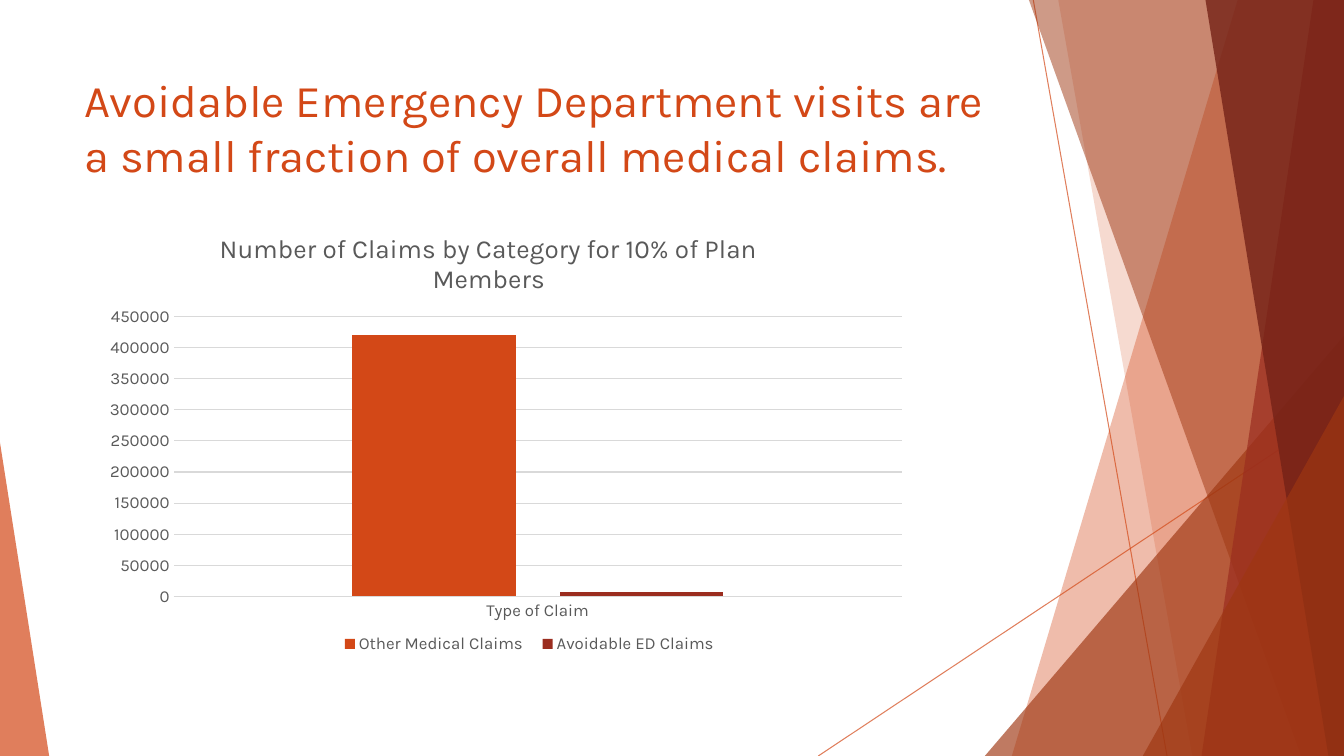
from lxml import etree
from pptx import Presentation
from pptx.chart.data import CategoryChartData
from pptx.dml.color import RGBColor
from pptx.enum.chart import XL_CHART_TYPE, XL_LEGEND_POSITION, XL_TICK_MARK
from pptx.enum.shapes import MSO_CONNECTOR, MSO_SHAPE
from pptx.enum.text import MSO_ANCHOR
from pptx.oxml import parse_xml
from pptx.oxml.ns import nsdecls, qn
from pptx.util import Cm, Pt

# Content, lengths in centimetres
WIDTH, HEIGHT = 33.87, 19.05
FONT = "Karla"
ORANGE, RED, BROWN, MAROON = "D34817", "9B2D1F", "9E3611", "742217"
GREY, GRID = "595959", "D9D9D9"

TITLE = "Avoidable Emergency Department visits are a small fraction of overall medical claims."
TITLE_BOX = (1.88, 1.7, 23.88, 3.66)

CHART_TITLE = "Number of Claims by Category for 10% of Plan Members"
CHART_BOX = (2.29, 5.36, 20.85, 11.38)
CATEGORIES = ["Type of Claim"]
SERIES = [("Other Medical Claims", 420000, ORANGE), ("Avoidable ED Claims", 7000, RED)]
# Fractions of the chart area
TITLE_PLACE = {"x": 0.15, "y": 0.03}
PLOT_PLACE = {"x": 0.1, "y": 0.23, "w": 0.88, "h": 0.62}
LEGEND_PLACE = {"x": 0.29, "y": 0.92, "w": 0.48, "h": 0.07}

RAYS = [(26.04, 0, 29.41, HEIGHT), (WIDTH, 10.24, 20.62, HEIGHT)]
# Bands: top left x, bottom left x, all reaching the right edge
# Triangles: left, top, width, apex position, all reaching the bottom edge
FACETS = [
    ("band", (31.19, 25.5), ORANGE, 36),
    ("band", (26.67, 30.05), ORANGE, 20),
    ("triangle", (24.82, 8.46, 9.05, 1), BROWN, 66),
    ("band", (25.93, 32.79), BROWN, 50),
    ("band", (33.1, 30.28), RED, 70),
    ("band", (30.38, 33.48), MAROON, 80),
    ("triangle", (28.8, 9.98, 5.07, 1), BROWN, 66),
    ("triangle", (0, 11.15, 1.24, 0), ORANGE, 70),
]


def paint(color_format, color):
    color_format.rgb = RGBColor.from_string(color)


def paint_fill(fill, color, opacity=100):
    fill.solid()
    paint(fill.fore_color, color)
    if opacity < 100:
        # The fill's colour element carries the opacity
        color_element = fill._xPr.find(".//" + qn("a:srgbClr"))
        etree.SubElement(color_element, qn("a:alpha"), val=str(opacity * 1000))


def style_font(font, size, color):
    font.name, font.size, font.bold = FONT, Pt(size), False
    paint(font.color, color)


def place(element, fractions, inner=False):
    """Fix the position of a chart part as fractions of the chart area."""
    for old_layout in element.findall(qn("c:layout")):
        element.remove(old_layout)
    target = '<c:layoutTarget val="inner"/>' if inner else ""
    modes = "".join(f'<c:{key}Mode val="edge"/>' for key in ("x", "y"))
    values = "".join(f'<c:{key} val="{value}"/>' for key, value in fractions.items())
    layout = parse_xml(f'<c:layout {nsdecls("c")}><c:manualLayout>{target}{modes}{values}'
                       '</c:manualLayout></c:layout>')
    before = [child for child in element if child.tag in (qn("c:tx"), qn("c:legendPos"))]
    element.insert(len(before), layout)


presentation = Presentation()
presentation.slide_width, presentation.slide_height = Cm(WIDTH), Cm(HEIGHT)
slide = presentation.slides.add_slide(presentation.slide_layouts[6])
shapes = slide.shapes

# Thin rays
for ray in RAYS:
    connector = shapes.add_connector(MSO_CONNECTOR.STRAIGHT, *map(Cm, ray))
    connector.line.width = Pt(0.75)
    paint_fill(connector.line.fill, ORANGE, 70)
    etree.SubElement(connector._element.spPr, qn("a:effectLst"))

# Translucent facets
for kind, geometry, color, opacity in FACETS:
    if kind == "band":
        top_x, bottom_x = geometry
        builder = shapes.build_freeform(Cm(top_x), 0)
        corners = [(WIDTH, 0), (WIDTH, HEIGHT), (bottom_x, HEIGHT)]
        builder.add_line_segments([(Cm(x), Cm(y)) for x, y in corners], close=True)
        shape = builder.convert_to_shape()
    else:
        left, top, width, apex = geometry
        shape = shapes.add_shape(MSO_SHAPE.ISOSCELES_TRIANGLE,
                                 Cm(left), Cm(top), Cm(width), Cm(HEIGHT - top))
        shape.adjustments[0] = apex
    shape.shadow.inherit = False
    shape.line.fill.background()
    paint_fill(shape.fill, color, opacity)

# Title
text_frame = shapes.add_textbox(*map(Cm, TITLE_BOX)).text_frame
text_frame.word_wrap = True
text_frame.vertical_anchor = MSO_ANCHOR.TOP
text_frame.text = TITLE
style_font(text_frame.paragraphs[0].runs[0].font, 32.4, ORANGE)

# Chart
chart_data = CategoryChartData()
chart_data.categories = CATEGORIES
for name, value, color in SERIES:
    chart_data.add_series(name, [value])
chart = shapes.add_chart(XL_CHART_TYPE.COLUMN_CLUSTERED, *map(Cm, CHART_BOX), chart_data).chart
style_font(chart.font, 10, "000000")
plot = chart.plots[0]
plot.vary_by_categories = False
plot.gap_width, plot.overlap = 219, -27
for series, (name, value, color) in zip(plot.series, SERIES):
    paint_fill(series.format.fill, color)

# Chart title and legend
chart.has_title = True
chart_title = chart.chart_title
chart_title.text_frame.text = CHART_TITLE
style_font(chart_title.text_frame.paragraphs[0].runs[0].font, 18.6, GREY)
chart_title.include_in_layout = False
chart.has_legend = True
chart.legend.position = XL_LEGEND_POSITION.BOTTOM
chart.legend.include_in_layout = False
style_font(chart.legend.font, 12, GREY)

# Axes
for axis in (chart.category_axis, chart.value_axis):
    axis.major_tick_mark = axis.minor_tick_mark = XL_TICK_MARK.NONE
    style_font(axis.tick_labels.font, 12, GREY)
value_axis = chart.value_axis
value_axis.minimum_scale, value_axis.maximum_scale, value_axis.major_unit = 0, 450000, 50000
value_axis.format.line.fill.background()
value_axis.has_major_gridlines = True
for line in (chart.category_axis.format.line, value_axis.major_gridlines.format.line):
    line.width = Pt(0.75)
    paint_fill(line.fill, GRID)

# Places of the chart parts
place(chart_title._element, TITLE_PLACE)
place(chart._chartSpace.chart.plotArea, PLOT_PLACE, inner=True)
place(chart.legend._element, LEGEND_PLACE)

presentation.save("out.pptx")
